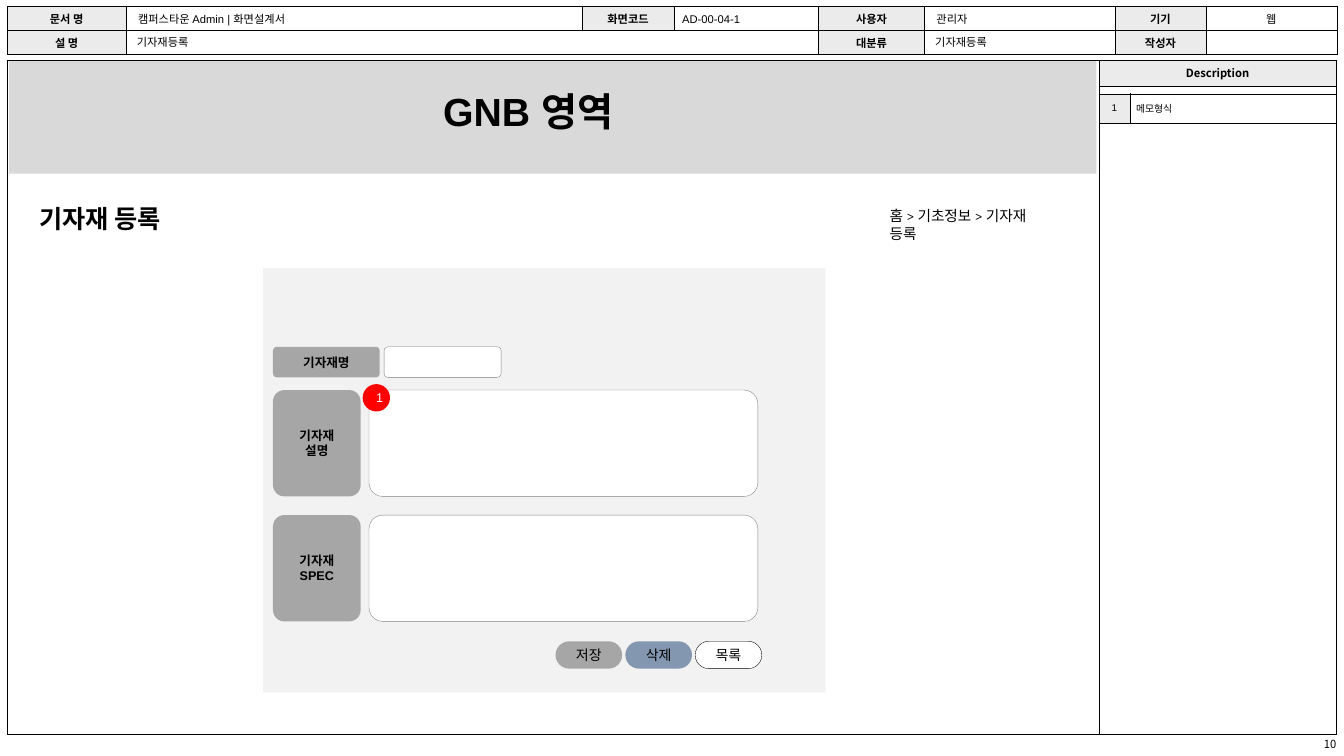
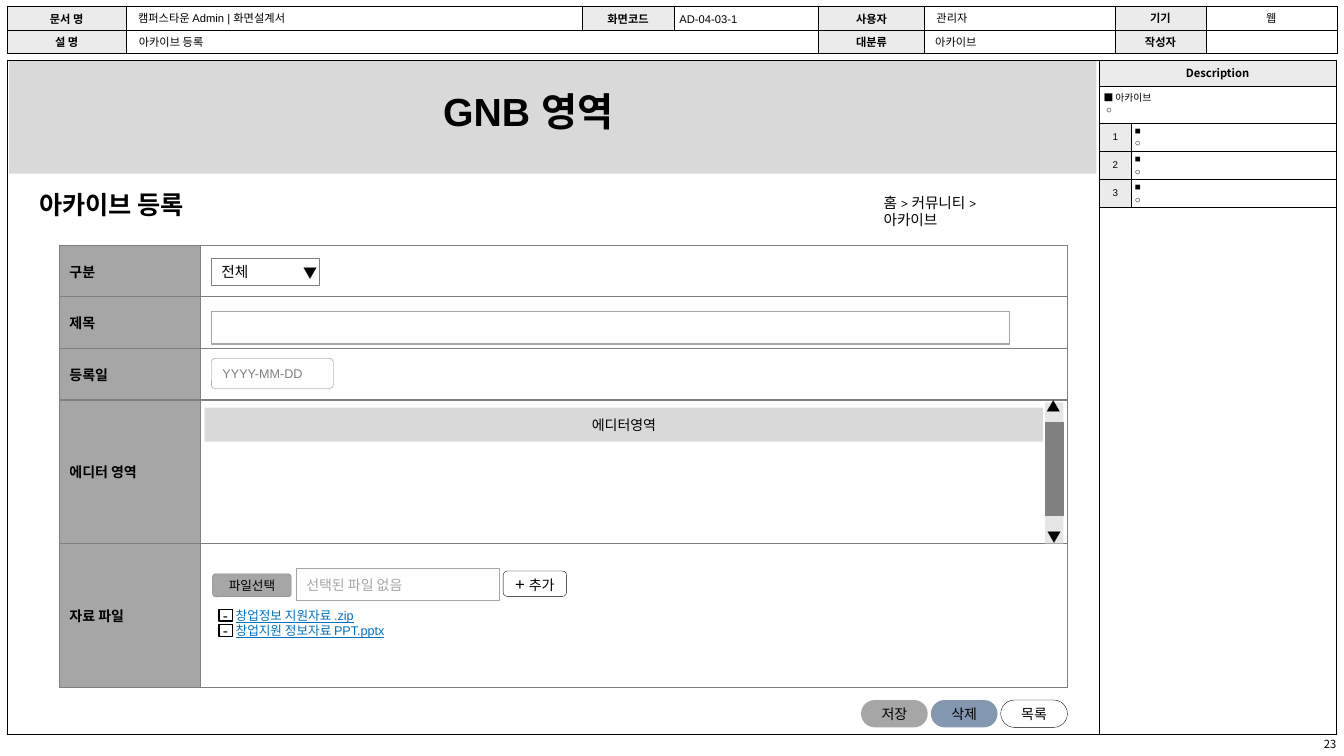
from lxml import etree
from pptx import Presentation
from pptx import util as u
from pptx.dml.color import RGBColor
from pptx.enum import shapes, text
from pptx.oxml.ns import qn

COLORS = {
    "black": "000000", "white": "FFFFFF", "head": "EBEBEB", "band": "D9D9D9",
    "panel": "F2F2F2", "label": "A6A6A6", "border": "808080",
    "delete": "8497B0", "badge": "FF0000", "link": "0070C0",
}
SANS, SERIF, KOREAN = "Arial", "Cambria", "Noto Sans CJK KR"
ALIGN = {"l": text.PP_ALIGN.LEFT, "c": text.PP_ALIGN.CENTER, "r": text.PP_ALIGN.RIGHT}
ANCHOR = {"t": text.MSO_ANCHOR.TOP, "m": text.MSO_ANCHOR.MIDDLE}
RECT = shapes.MSO_SHAPE.RECTANGLE
ROUND = shapes.MSO_SHAPE.ROUNDED_RECTANGLE
OVAL = shapes.MSO_SHAPE.OVAL
PROCESS = shapes.MSO_SHAPE.FLOWCHART_PROCESS
PAD = (0.25, 0.13, 0.25, 0.13)
TIGHT = (0.1, 0.1, 0.1, 0.1)
THIN = (0.03, 0.03, 0.03, 0.03)
INDENT = (0.3, 0.03, 0.03, 0.03)


def rgb(name):
    return RGBColor.from_string(COLORS[name])


def cm(*values):
    return [u.Cm(v) for v in values]


def add_run(p, content, size=8, font=SANS, color="black", bold=False, underline=False):
    r = p.add_run()
    r.text = content
    f = r.font
    f.size, f.name, f.bold, f.underline = u.Pt(size), font, bold, underline
    f.color.rgb = rgb(color)
    etree.SubElement(r._r.get_or_add_rPr(), qn("a:ea"), typeface=KOREAN)


def write(tf, content, align="l", before=0, **fmt):
    for i, line in enumerate(content.split("\n")):
        p = tf.add_paragraph() if i else tf.paragraphs[0]
        p.alignment = ALIGN[align]
        if before:
            p.space_before = u.Pt(before)
        if line:
            add_run(p, line, **fmt)
        else:
            etree.SubElement(p._p, qn("a:endParaRPr"), sz="800")


def set_frame(tf, pad, anchor):
    tf.word_wrap = True
    tf.vertical_anchor = ANCHOR[anchor]
    tf.margin_left, tf.margin_top, tf.margin_right, tf.margin_bottom = cm(*pad)


def add_text(slide, box, content, pad=PAD, anchor="t", **fmt):
    sp = slide.shapes.add_textbox(*cm(*box))
    set_frame(sp.text_frame, pad, anchor)
    write(sp.text_frame, content, **fmt)
    return sp


def add_box(slide, box, kind=RECT, fill=None, line=None, width=0.25, adj=0.13,
            content="", pad=PAD, **fmt):
    sp = slide.shapes.add_shape(kind, *cm(*box))
    sp.shadow.inherit = False
    if kind == ROUND:
        sp.adjustments[0] = adj
    if fill:
        sp.fill.solid()
        sp.fill.fore_color.rgb = rgb(fill)
    else:
        sp.fill.background()
    if line:
        sp.line.color.rgb = rgb(line)
        sp.line.width = u.Pt(width)
    else:
        sp.line.fill.background()
    if content:
        set_frame(sp.text_frame, pad, "m")
        write(sp.text_frame, content, **fmt)
    return sp


def add_table(slide, left, top, cols, rows, border="black", width=0.25):
    sp = slide.shapes.add_table(len(rows), len(cols), *cm(left, top, sum(cols), sum(rows)))
    table = sp.table
    table.first_row = table.horz_banding = False
    for col, w in zip(table.columns, cols):
        col.width = u.Cm(w)
    for row, h in zip(table.rows, rows):
        row.height = u.Cm(h)
    for cell in table.iter_cells():
        tc_pr = cell._tc.get_or_add_tcPr()
        for side in ("lnL", "lnR", "lnT", "lnB"):
            ln = etree.SubElement(tc_pr, qn(f"a:{side}"), w=str(u.Pt(width)))
            solid = etree.SubElement(ln, qn("a:solidFill"))
            etree.SubElement(solid, qn("a:srgbClr"), val=COLORS[border])
    return table


def set_cell(cell, content="", fill=None, pad=THIN, anchor="m", **fmt):
    if fill:
        cell.fill.solid()
        cell.fill.fore_color.rgb = rgb(fill)
    else:
        cell.fill.background()
    cell.vertical_anchor = ANCHOR[anchor]
    cell.margin_left, cell.margin_top, cell.margin_right, cell.margin_bottom = cm(*pad)
    write(cell.text_frame, content, **fmt)


def add_header(slide, code, code_left, description, description_left, category):
    rows = (
        ("문서 명", "캠퍼스타운 Admin | 화면설계서", "화면코드", "", "사용자", "관리자", "기기", "웹"),
        ("설 명", "", "", "", "대분류", "", "작성자", ""),
    )
    cols = (3, 11.48, 2.34, 3.63, 2.67, 4.8, 2.29, 3.3)
    table = add_table(slide, 0.18, 0.15, cols, (0.6, 0.6))
    table.cell(1, 1).merge(table.cell(1, 3))
    for i, row in enumerate(rows):
        for j, content in enumerate(row):
            cell = table.cell(i, j)
            if cell.is_spanned:
                continue
            if j % 2 == 0:
                set_cell(cell, content, "head", TIGHT if j < 6 else THIN,
                         align="c", font=KOREAN, bold=True)
            elif j == 7:
                set_cell(cell, content, "white", align="c")
            else:
                set_cell(cell, content, "white", INDENT)
    add_text(slide, (code_left, 0.18, 3.63, 0.58), code)
    add_text(slide, (description_left, 0.76, 17.35, 0.6), description)
    add_text(slide, (23.32, 0.76, 3, 0.6), category)


def add_frame(slide, page):
    table = add_table(slide, 0.18, 1.51, (27.51, 5.99), (0.66, 16.33))
    table.cell(0, 0).merge(table.cell(1, 0))
    set_cell(table.cell(0, 0), fill="white")
    set_cell(table.cell(0, 1), "Description", "head", TIGHT, align="c", font=KOREAN, bold=True)
    set_cell(table.cell(1, 1), fill="white")
    add_text(slide, (27.69, 18.44, 5.99, 0.61), page, pad=(0.25, 0.13, 0, 0.13),
             align="r", font=KOREAN)


def add_title(slide, top, title, crumb_left, crumb_top, crumb):
    add_box(slide, (0.23, 1.54, 27.4, 2.84), fill="band")
    add_text(slide, (10.92, 2.08, 6.07, 1.45), "GNB 영역", size=28, bold=True)
    add_text(slide, (0.74, top, 7.11, 1.02), title, size=18, font=SERIF, bold=True)
    add_text(slide, (crumb_left, crumb_top, 5.23, 1), crumb, size=10.5, font=SERIF)


def add_memo(slide, left, top, memos, row, intro=None):
    rows = ([0.92] if intro else []) + [row] * len(memos)
    table = add_table(slide, left, top, (0.79, 5.18), rows)
    if intro:
        table.cell(0, 0).merge(table.cell(0, 1))
        set_cell(table.cell(0, 0), intro, "white", (0.1, 0.1, 0.03, 0.03), "t", size=7)
    start = len(rows) - len(memos)
    for i, memo in enumerate(memos):
        set_cell(table.cell(start + i, 0), str(i + 1), "head", align="c", size=7)
        set_cell(table.cell(start + i, 1), memo, "white", (0.1, 0.03, 0.1, 0.03),
                 size=7, before=1.4)


def add_buttons(slide, left, top):
    buttons = (("저장", "label", None), ("삭제", "delete", None), ("목록", "white", "black"))
    for i, (name, fill, line) in enumerate(buttons):
        add_box(slide, (left + i * 1.76, top, 1.68, 0.69), ROUND, fill, line, adj=0.5,
                content=name, pad=TIGHT, align="c", size=10)


def add_equipment_form(slide, left, top):
    add_box(slide, (left, top, 14.17, 10.69), fill="panel")
    fields = (
        ("기자재명", 1.98, 2.69, 0.77, 3.05, 2.95),
        ("기자재\n설명", 3.07, 2.21, 2.68, 2.67, 9.8),
        ("기자재\nSPEC", 6.22, 2.21, 2.68, 2.67, 9.8),
    )
    for name, y, label_w, h, x, input_w in fields:
        add_box(slide, (left + x, top + y, input_w, h), ROUND, "white", "border")
        add_box(slide, (left + 0.25, top + y, label_w, h), ROUND, "label",
                content=name, align="c", size=9, bold=True)
    add_buttons(slide, left + 7.37, top + 9.4)
    add_box(slide, (left + 2.51, top + 2.92, 0.69, 0.69), OVAL, "badge",
            content="1", align="c", size=9, color="white")


def add_arrow(slide, left, top, height=0.18, rotation=0):
    sp = add_text(slide, (left, top, 0.71, height), "▼", pad=(0.2, 0, 0.2, 0),
                  anchor="m", size=10, font=KOREAN)
    sp.rotation = rotation


def add_scrollbar(slide, left, top):
    track = add_box(slide, (left, top, 0.46, 3.56), PROCESS, "band")
    color = track._element.spPr.find(qn("a:solidFill"))[0]
    etree.SubElement(color, qn("a:alpha"), val="65000")
    add_arrow(slide, left - 0.15, top + 3.31)
    add_arrow(slide, left - 0.13, top + 0.03, rotation=180)
    x = left + 0.23
    thumb = slide.shapes.add_connector(shapes.MSO_CONNECTOR.STRAIGHT,
                                       *cm(x, top + 0.49, x, top + 2.87))
    thumb.line.color.rgb = rgb("border")
    thumb.line.width = u.Pt(13.25)
    etree.SubElement(thumb._element.spPr, qn("a:effectLst"))


def add_files(slide, left, top):
    add_box(slide, (left + 0.3, top + 0.64, 1.98, 0.58), ROUND, "label", "border",
            content="파일선택", align="c", size=9)
    add_box(slide, (left + 2.41, top + 0.51, 5.11, 0.81), line="label", width=0.75,
            content="선택된 파일 없음", size=10, font=SERIF, color="label")
    add = add_box(slide, (left + 7.62, top + 0.57, 1.6, 0.64), ROUND, line="black", adj=0.17,
                  content="+", pad=TIGHT, align="c", size=12)
    add_run(add.text_frame.paragraphs[0], " 추가", size=10)
    add_text(slide, (left + 0.63, top + 1.37, 5.84, 1.42),
             "창업정보 지원자료 .zip\n창업지원 정보자료 PPT.pptx",
             size=9, color="link", underline=True)
    for i in range(2):
        add_box(slide, (left + 0.46, top + 1.53 + i * 0.38, 0.33, 0.3), line="black",
                width=0.75, content="-", align="c", size=11)


def add_archive_form(slide, left, top):
    labels = ("구분", "제목", "등록일", "에디터 영역", "자료 파일")
    rows = (1.3, 1.3, 1.3, 3.62, 3.62)
    table = add_table(slide, left, top, (3.56, 21.84), rows, "border", 1)
    for i, label in enumerate(labels):
        set_cell(table.cell(i, 0), label, "label", PAD, size=10, font=SERIF, bold=True)
        set_cell(table.cell(i, 1))
    x = left + 3.56
    add_box(slide, (x + 0.27, top + 0.33, 2.72, 0.69), line="border", width=0.75,
            content="전체", size=10.5)
    add_arrow(slide, x + 2.38, top + 0.48, 0.43)
    add_box(slide, (x + 0.27, top + 1.68, 20.12, 0.81), line="label", width=0.75)
    add_box(slide, (x + 0.27, top + 2.85, 3.07, 0.76), ROUND, "white", "border",
            content="YYYY-MM-DD", size=9, color="border")
    add_scrollbar(slide, x + 21.28, top + 3.96)
    add_box(slide, (x + 0.1, top + 4.09, 21.13, 0.86), fill="band",
            content="에디터영역", align="c", size=10, font=SERIF)
    add_files(slide, x, top + sum(rows[:4]) + 0.12)
    add_buttons(slide, left + 20.2, top + 11.46)


def equipment_slide(prs):
    slide = prs.slides.add_slide(prs.slide_layouts[6])
    add_header(slide, "AD-00-04-1", 16.94, "기자재등록", 3.2, "기자재등록")
    add_frame(slide, "10")
    add_title(slide, 5, "기자재 등록", 22.17, 5.08, "홈 > 기초정보 > 기자재\n등록")
    add_equipment_form(slide, 6.63, 6.76)
    add_memo(slide, 27.69, 2.36, [" 메모형식"], 0.74)


def archive_slide(prs):
    slide = prs.slides.add_slide(prs.slide_layouts[6])
    add_header(slide, "AD-04-03-1", 16.87, "아카이브 등록", 3.25, "아카이브")
    add_frame(slide, "23")
    add_title(slide, 4.65, "아카이브 등록", 22.02, 4.75, "홈 > 커뮤니티 >\n아카이브")
    add_archive_form(slide, 1.5, 6.18)
    add_memo(slide, 27.71, 2.18, ["■\n○"] * 3, 0.71, "■ 아카이브\n ○")


def main():
    prs = Presentation()
    prs.slide_width, prs.slide_height = cm(33.87, 19.05)
    equipment_slide(prs)
    archive_slide(prs)
    prs.save("out.pptx")


if __name__ == "__main__":
    main()
